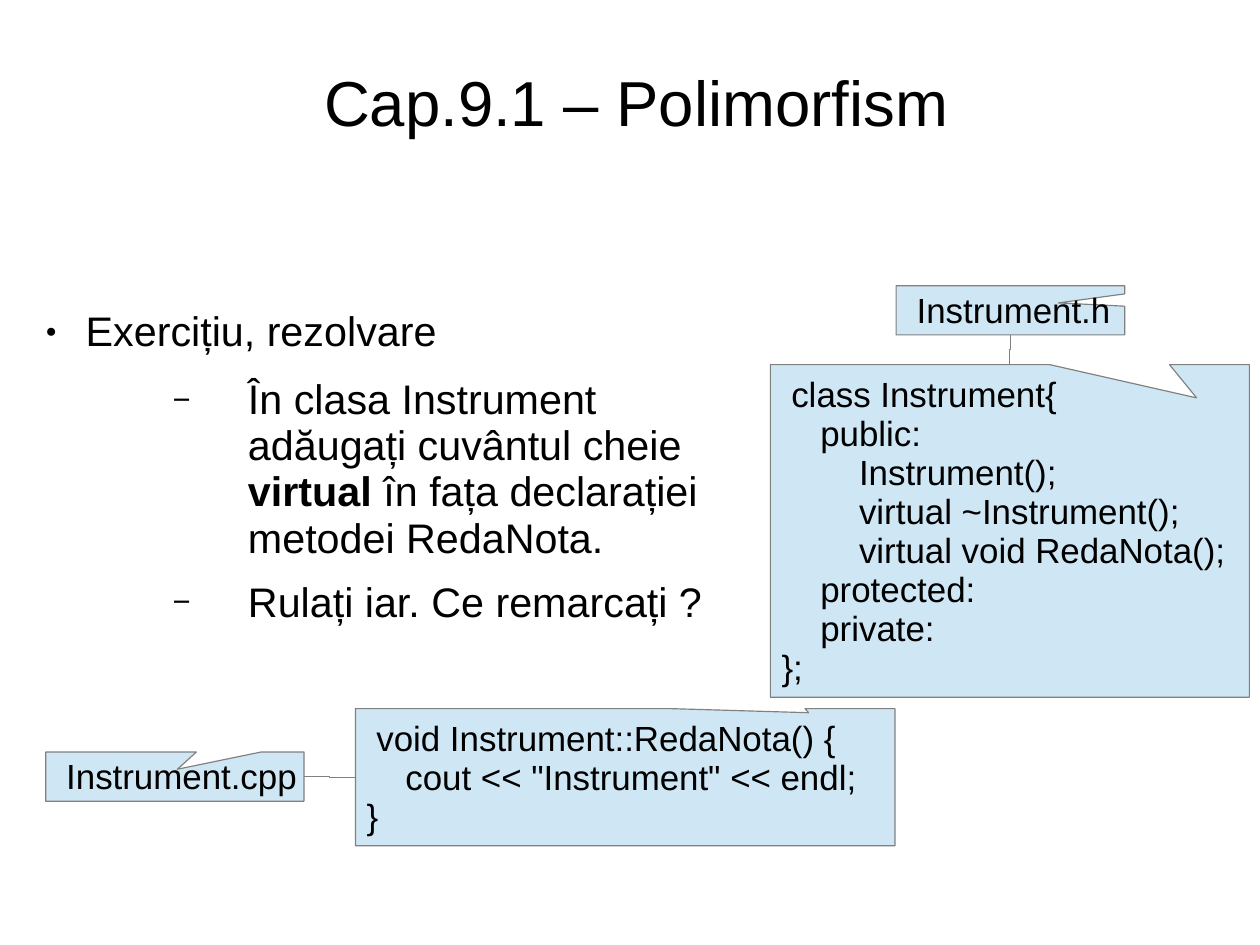
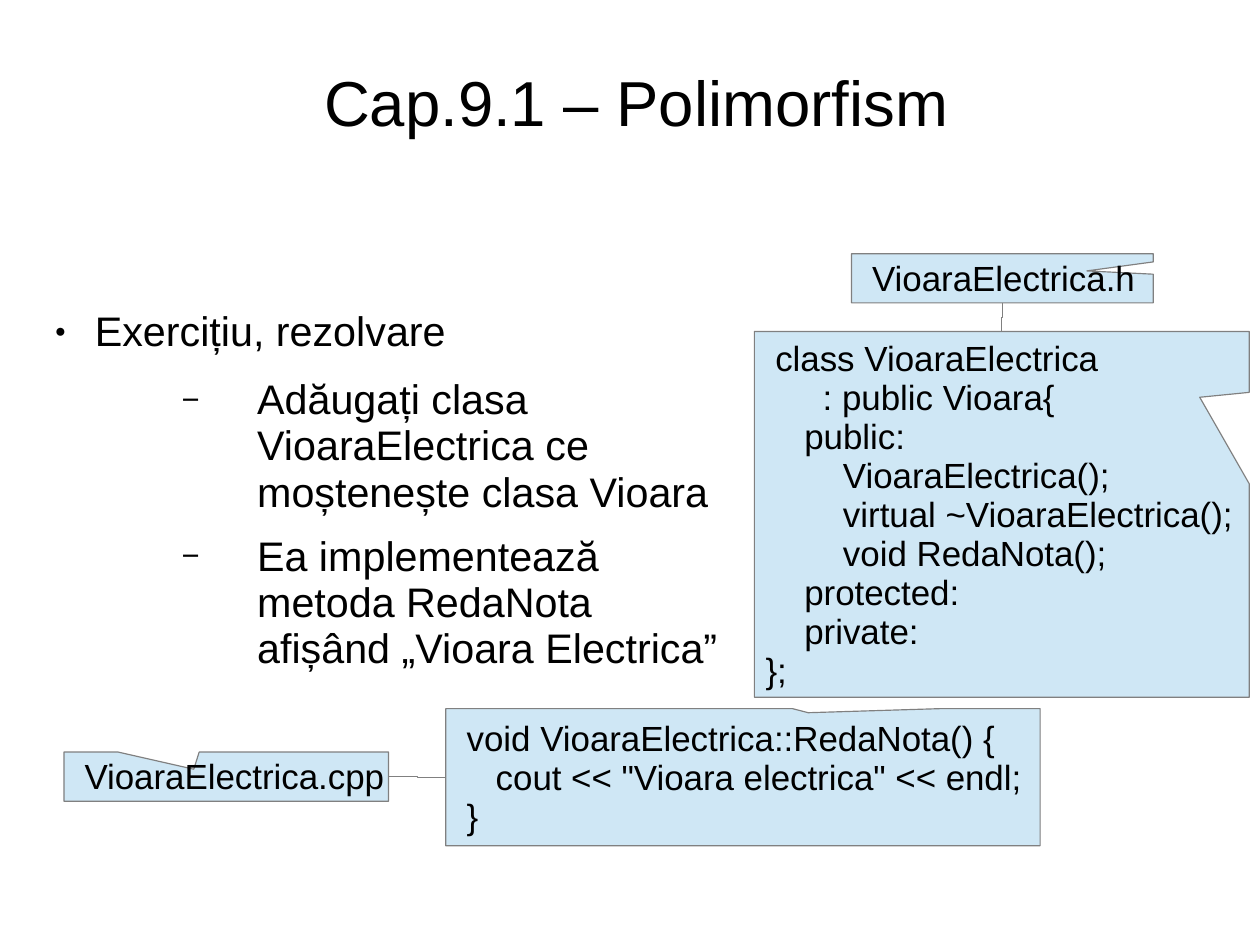
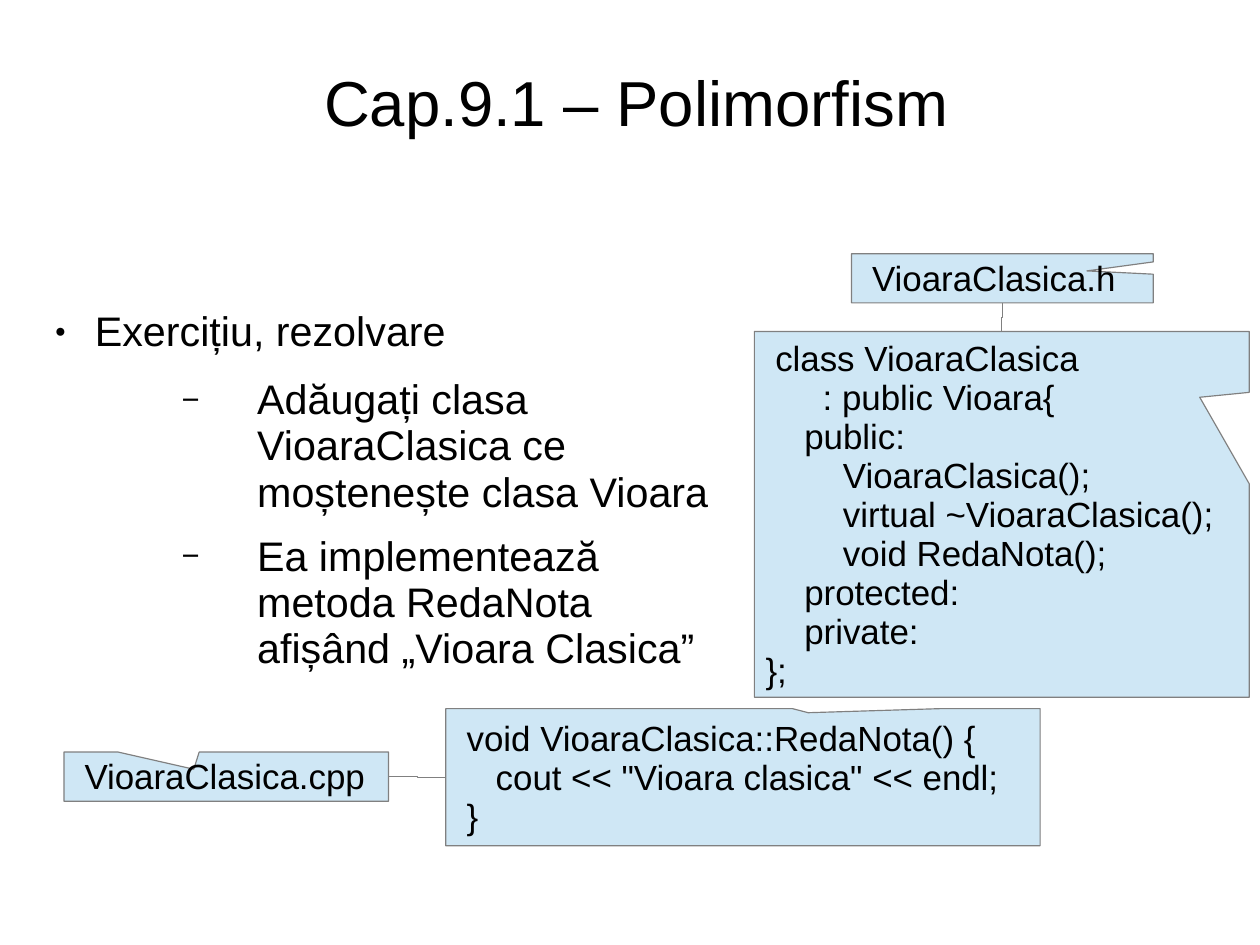
from lxml.etree import SubElement
from pptx import Presentation
from pptx.dml.color import RGBColor
from pptx.enum.shapes import MSO_CONNECTOR, MSO_SHAPE
from pptx.enum.text import MSO_ANCHOR, MSO_AUTO_SIZE, PP_ALIGN
from pptx.oxml.ns import qn
from pptx.util import Cm, Inches, Pt

COLORS = {"text": "000000", "callout": "CFE7F5", "line": "808080"}
FONT = "Arial"
TITLE = "Cap.9.1 – Polimorfism"
TITLE_AREA = (0.36, 0.28, 10.41, 1.24)
LINE_SPACING = 0.93
SIZES = {"title": 40, "body": 26, "code": 22}
BULLETS = [
    {"char": "●", "size": 45, "margin": 0.47, "hanging": 0.35, "after": 14.1},
    {"char": "−", "size": 75, "margin": 1.89, "hanging": 0.66, "after": 11.4},
]
TOP, LEFT, BOTTOM, RIGHT = range(4)
LABEL_HEIGHT = 0.43
CODE_INSET, LABEL_INSET = 0.1, 0.18
SOURCE_TOP, SOURCE_HEIGHT = 6.2, 1.2
SOURCE_LABEL_TOP = 6.58
HEADER_RIGHT, HEADER_BOTTOM = 10.93, 6.1


def color(name):
    return RGBColor.from_string(COLORS[name])


def place(shape, area):
    for name, length in zip(("left", "top", "width", "height"), area):
        setattr(shape, name, Inches(length))


def format_frame(frame, left=0, top=0, right=0, bottom=0, anchor=MSO_ANCHOR.TOP):
    values = {
        "margin_left": Inches(left),
        "margin_top": Inches(top),
        "margin_right": Inches(right),
        "margin_bottom": Inches(bottom),
        "vertical_anchor": anchor,
        "auto_size": MSO_AUTO_SIZE.NONE,
        "word_wrap": True,
    }
    for name, value in values.items():
        setattr(frame, name, value)


def format_paragraph(paragraph, size, align=PP_ALIGN.LEFT, after=0):
    values = {"alignment": align, "line_spacing": LINE_SPACING,
              "space_before": Pt(0), "space_after": Pt(after)}
    for name, value in values.items():
        setattr(paragraph, name, value)
    paragraph.font.name = FONT
    paragraph.font.size = Pt(SIZES[size])
    paragraph.font.color.rgb = color("text")


def next_paragraph(frame, index):
    return frame.add_paragraph() if index else frame.paragraphs[0]


def add_title(page):
    title = page.shapes.title
    place(title, TITLE_AREA)
    title.text_frame.text = TITLE
    format_frame(title.text_frame, top=0.04, anchor=MSO_ANCHOR.MIDDLE)
    format_paragraph(title.text_frame.paragraphs[0], "title", PP_ALIGN.CENTER)


def set_bullet(paragraph, bullet):
    properties = paragraph._p.get_or_add_pPr()
    properties.set("marL", str(Inches(bullet["margin"])))
    properties.set("indent", str(-Inches(bullet["hanging"])))
    tint = SubElement(properties, qn("a:buClr"))
    SubElement(tint, qn("a:srgbClr"), val=COLORS["text"])
    SubElement(properties, qn("a:buSzPct"), val=str(bullet["size"] * 1000))
    SubElement(properties, qn("a:buFont"), typeface=FONT)
    SubElement(properties, qn("a:buChar"), char=bullet["char"])


def add_exercise(page, area, tasks):
    """Add the heading and its tasks; every second span of a task is bold."""
    box = page.shapes.add_textbox(*map(Inches, area))
    format_frame(box.text_frame, top=0.03)
    for index, spans in enumerate([["Exercițiu, rezolvare"], *tasks]):
        bullet = BULLETS[min(index, 1)]
        paragraph = next_paragraph(box.text_frame, index)
        paragraph.level = min(index, 1)
        set_bullet(paragraph, bullet)
        format_paragraph(paragraph, "body", after=bullet["after"])
        for position, text in enumerate(spans):
            span = paragraph.add_run()
            span.text = text
            span.font.bold = position % 2 == 1


def add_callout(page, area, tip, lines, inset):
    callout = page.shapes.add_shape(MSO_SHAPE.RECTANGULAR_CALLOUT,
                                    *map(Inches, area))
    for index, offset in enumerate(tip):
        callout.adjustments[index] = offset
    callout.shadow.inherit = False
    callout.fill.solid()
    callout.fill.fore_color.rgb = color("callout")
    callout.line.color.rgb = color("line")
    callout.line.width = Pt(0.75)
    format_frame(callout.text_frame, inset, 0.07, 0, 0.05, MSO_ANCHOR.MIDDLE)
    for index, line in enumerate(lines):
        paragraph = next_paragraph(callout.text_frame, index)
        if "\t" in line:
            tabs = SubElement(paragraph._p.get_or_add_pPr(), qn("a:tabLst"))
            SubElement(tabs, qn("a:tab"), pos=str(Inches(0.5)), algn="l")
        paragraph.add_run().text = line
        format_paragraph(paragraph, "code")
    return callout


def add_link(page, label, code, start, end):
    link = page.shapes.add_connector(MSO_CONNECTOR.ELBOW, 0, 0, 0, 0)
    link.begin_connect(label, start)
    link.end_connect(code, end)
    link.line.color.rgb = color("line")
    link.line.width = Pt(0.75)
    SubElement(link._element.spPr, qn("a:effectLst"))
    return link


def turn_down(link):
    """Turn an elbow a quarter so that it leaves and arrives vertically."""
    center_x = link.left + link.width // 2
    center_y = link.top + link.height // 2
    link.width, link.height = link.height, link.width
    link.left = center_x - link.width // 2
    link.top = center_y - link.height // 2
    frame = link._element.spPr.xfrm
    frame.attrib.pop("flipH", None)
    frame.set("rot", str(90 * 60000))


def add_header(page, name, label, code, lines):
    label_area = (label["left"], label["top"], label["width"], LABEL_HEIGHT)
    code_area = (code["left"], code["top"], HEADER_RIGHT - code["left"],
                 HEADER_BOTTOM - code["top"])
    file = add_callout(page, label_area, label["tip"], [f"{name}.h"], LABEL_INSET)
    listing = add_callout(page, code_area, code["tip"], lines, CODE_INSET)
    turn_down(add_link(page, file, listing, BOTTOM, TOP))


def add_source(page, name, label, code, lines):
    label_area = (label["left"], SOURCE_LABEL_TOP, label["width"], LABEL_HEIGHT)
    code_area = (code["left"], SOURCE_TOP, code["width"], SOURCE_HEIGHT)
    file = add_callout(page, label_area, label["tip"], [f"{name}.cpp"], LABEL_INSET)
    listing = add_callout(page, code_area, code["tip"], lines, CODE_INSET)
    add_link(page, file, listing, RIGHT, LEFT)


def class_lines(name, opening, method):
    return [
        *opening,
        "    public:",
        f"        {name}();",
        f"        virtual ~{name}();",
        f"        {method} RedaNota();",
        "    protected:",
        "    private:",
        "};",
    ]


def method_lines(name, output, closing):
    return [f" void {name}::RedaNota() {{",
            f'    cout << "{output}" << endl;',
            closing]


def add_page(deck):
    page = deck.slides.add_slide(deck.slide_layouts[5])
    add_title(page)
    return page


def add_instrument_page(deck):
    page = add_page(deck)
    name = "Instrument"
    add_exercise(page, (0.28, 2.68, 5.96, 2.96), [
        ["În clasa Instrument adăugați cuvântul cheie ", "virtual",
         " în fața declarației metodei RedaNota."],
        ["Rulați iar. Ce remarcați ?"],
    ])
    add_header(page, name,
               {"left": 7.84, "top": 2.5, "width": 2, "tip": (0.21, -0.15)},
               {"left": 6.74, "top": 3.19, "tip": (0.39, -0.4)},
               class_lines(name, [f" class {name}{{"], "virtual void"))
    add_source(page, name,
               {"left": 0.4, "width": 2.26, "tip": (0.01, -0.15)},
               {"left": 3.11, "width": 4.72, "tip": (0.34, -0.47)},
               method_lines(name, name, "}"))


def add_violin_page(deck, kind):
    page = add_page(deck)
    name = f"Vioara{kind}"
    add_exercise(page, (0.36, 2.68, 6, 3.32), [
        [f"Adăugați clasa {name} ce moștenește clasa Vioara"],
        [f"Ea implementează metoda RedaNota afișând „Vioara {kind}”"],
    ])
    add_header(page, name,
               {"left": 7.45, "top": 2.22, "width": 2.64, "tip": (0.28, -0.15)},
               {"left": 6.6, "top": 2.9, "tip": (0.4, -0.32)},
               class_lines(name, [f" class {name}", "\t: public Vioara{"], "void"))
    add_source(page, name,
               {"left": 0.56, "width": 2.84, "tip": (-0.1, -0.15)},
               {"left": 3.9, "width": 5.2, "tip": (0.11, -0.47)},
               method_lines(name, f"Vioara {kind.lower()}", " }"))


def main():
    deck = Presentation()
    deck.slide_width = Cm(28)
    deck.slide_height = Cm(21)
    deck.element.sldSz.attrib.pop("type", None)
    add_instrument_page(deck)
    for kind in ("Electrica", "Clasica"):
        add_violin_page(deck, kind)
    deck.save("out.pptx")


if __name__ == "__main__":
    main()
